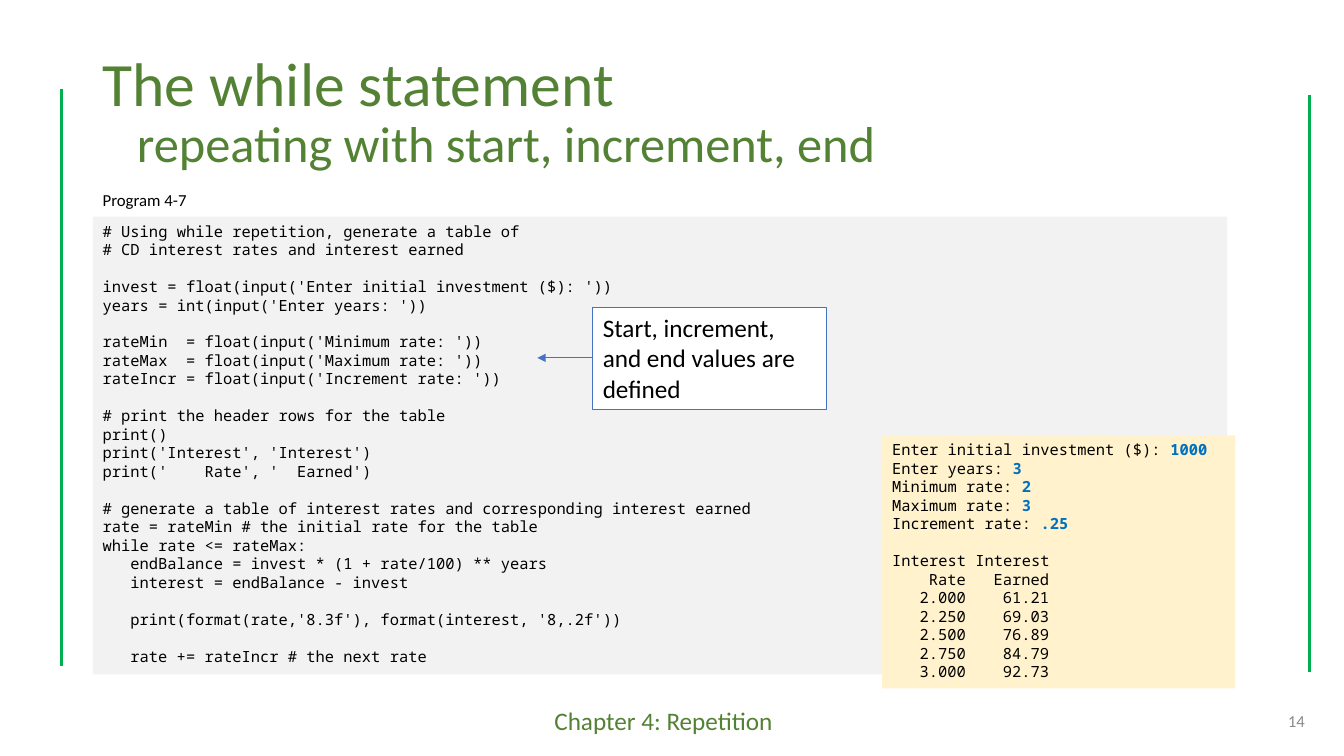
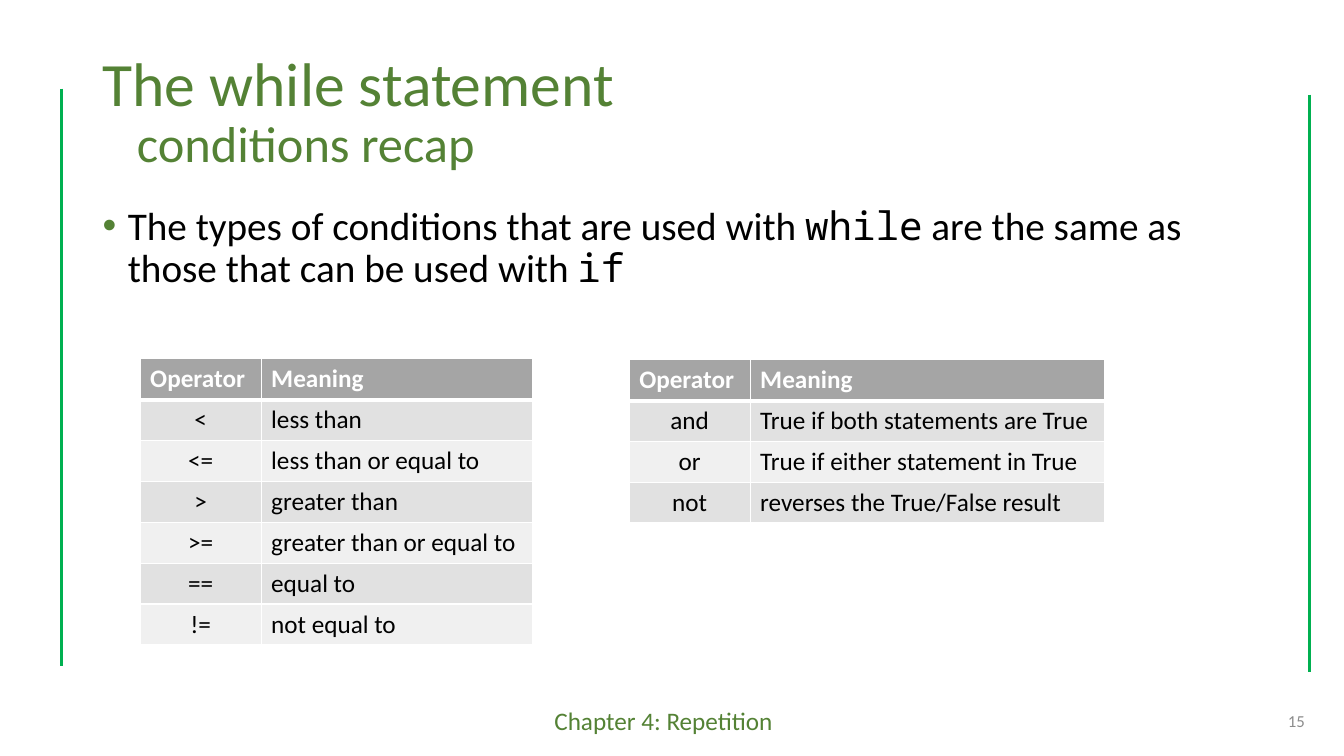
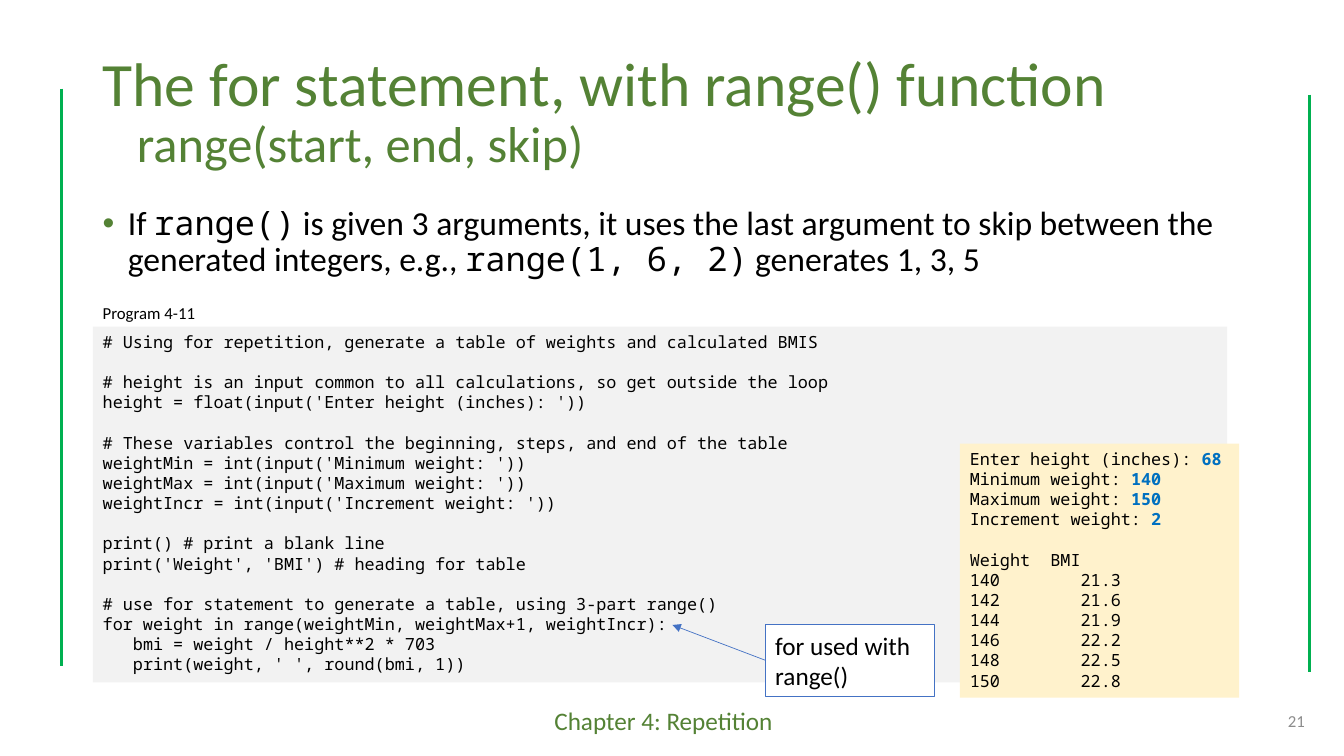
from lxml.etree import SubElement as Sub
from pptx import Presentation
from pptx.dml.color import RGBColor as Rgb
from pptx.enum.shapes import MSO_CONNECTOR as Conn, MSO_SHAPE as Form
from pptx.enum.text import MSO_ANCHOR as Anchor, PP_ALIGN as Align
from pptx.oxml.ns import qn
from pptx.util import Pt

PX = 9144  # 100 px to the inch
HUES = {
    "title": "548235", "rail": "00B050", "page": "8C8C8C", "text": "000000",
    "code": "F2F2F2", "shell": "FFF2CC", "entry": "0070C0", "white": "FFFFFF",
    "edge": "4472C4", "head": "A5A5A5", "odd": "E1E1E1", "even": "F0F0F0",
}
SANS, MONO = "Calibri", "Noto Sans Mono"
CHAR, LEAD = 0.6, 1.2  # monospace advance and line height, in ems


def box(slide, at, paras, fill=None, edge=None, anchor=Anchor.TOP):
    """Add text; a paragraph is (runs, format), a run is (text, hue, font)."""
    at = [n * PX for n in at]
    if fill:
        shape = slide.shapes.add_shape(Form.RECTANGLE, *at)
        shape.shadow.inherit = False
        shape.fill.solid()
        shape.fill.fore_color.rgb = Rgb.from_string(HUES[fill])
        if edge:
            shape.line.color.rgb = Rgb.from_string(HUES[edge])
            shape.line.width = Pt(0.75)
        else:
            shape.line.fill.background()
    else:
        shape = slide.shapes.add_textbox(*at)
    frame = shape.text_frame
    frame.word_wrap = True
    frame.vertical_anchor = anchor
    for i, (runs, form) in enumerate(paras):
        para = frame.add_paragraph() if i else frame.paragraphs[0]
        for key, val in ({"alignment": Align.LEFT} | form).items():
            setattr(para, key, val)
        for text, hue, font in runs:
            run = para.add_run()
            run.text = text
            run.font.color.rgb = Rgb.from_string(HUES[hue])
            for key, val in ({"name": SANS} | font).items():
                setattr(run.font, key, val)
    return frame


def rule(slide, ends, hue, width, arrow=False):
    line = slide.shapes.add_connector(Conn.STRAIGHT, *[n * PX for n in ends])
    line.line.color.rgb = Rgb.from_string(HUES[hue])
    line.line.width = Pt(width)
    if arrow:
        Sub(line.line._get_or_add_ln(), qn("a:tailEnd"), type="triangle")
    Sub(line._element.spPr, qn("a:effectLst"))


RATES = """
# Using while repetition, generate a table of
# CD interest rates and interest earned

invest = float(input('Enter initial investment ($): '))
years = int(input('Enter years: '))

rateMin  = float(input('Minimum rate: '))
rateMax  = float(input('Maximum rate: '))
rateIncr = float(input('Increment rate: '))

# print the header rows for the table
print()
print('Interest', 'Interest')
print('    Rate', '  Earned')

# generate a table of interest rates and corresponding interest earned
rate = rateMin # the initial rate for the table
while rate <= rateMax:
   endBalance = invest * (1 + rate/100) ** years
   interest = endBalance - invest

   print(format(rate,'8.3f'), format(interest, '8,.2f'))

   rate += rateIncr # the next rate
"""
# A bar parts a prompt from what is typed in.
RATES_OUT = """
Enter initial investment ($): |1000
Enter years: |3
Minimum rate: |2
Maximum rate: |3
Increment rate: |.25

Interest Interest
\tRate\tEarned
\t2.000\t61.21
\t2.250\t69.03
\t2.500\t76.89
\t2.750\t84.79
\t3.000\t92.73
"""
BMI = """
# Using for repetition, generate a table of weights and calculated BMIS

# height is an input common to all calculations, so get outside the loop
height = float(input('Enter height (inches): '))

# These variables control the beginning, steps, and end of the table
weightMin = int(input('Minimum weight: '))
weightMax = int(input('Maximum weight: '))
weightIncr = int(input('Increment weight: '))

print() # print a blank line
print('Weight', 'BMI') # heading for table

# use for statement to generate a table, using 3-part range()
for weight in range(weightMin, weightMax+1, weightIncr):
   bmi = weight / height**2 * 703
   print(weight, ' ', round(bmi, 1))
"""
BMI_OUT = """
Enter height (inches): |68
Minimum weight: |140
Maximum weight: |150
Increment weight: |2

Weight\tBMI
140\t\t21.3
142\t\t21.6
144\t\t21.9
146\t\t22.2
148\t\t22.5
150\t\t22.8
"""

# Tab stops are (alignment, columns); bullets alternate sans and mono.
PAGES = [
    {
        "page": "14",
        "title": ("The while statement", "repeating with start, increment, end"),
        "label": ("Program 4-7", 183),
        "size": 11,
        "mono": [((92, 215, 1125, 454), "code", RATES, None),
                 ((875, 432, 350, 251), "shell", RATES_OUT, ("r", (8, 17)))],
        "note": ((588, 305, 232, 101),
                 "Start, increment, and end values are defined"),
        "arrow": (588, 355, 533, 355),
    },
    {
        "page": "15",
        "title": ("The while statement", "conditions recap"),
        "bullet": (28, ("The types of conditions that are used with ", "while",
                        " are the same as those that can be used with ", "if")),
        "tables": [
            ((139, 356, 389, 284), (120, 269), [
                ("<", "less than"), ("<=", "less than or equal to"),
                (">", "greater than"), (">=", "greater than or equal to"),
                ("==", "equal to"), ("!=", "not equal to")]),
            ((624, 357, 472, 162), (120, 352), [
                ("and", "True if both statements are True"),
                ("or", "True if either statement in True"),
                ("not", "reverses the True/False result")]),
        ],
    },
    {
        "page": "21",
        "title": ("The for statement, with range() function",
                  "range(start, end, skip)"),
        "bullet": (24, ("If ", "range()",
                        " is given 3 arguments, it uses the last argument to skip"
                        " between the generated integers, e.g., ",
                        "range(1, 6, 2)", " generates 1, 3, 5")),
        "label": ("Program 4-11", 295),
        "size": 12,
        "mono": [((92, 324, 1125, 353), "code", BMI, None),
                 ((952, 440, 277, 252), "shell", BMI_OUT, ("l", (8, 11)))],
        "note": ((759, 620, 168, 71), "for used with range()"),
        "arrow": (759, 655, 667, 620),
    },
]

deck = Presentation()
deck.slide_width, deck.slide_height = 1333 * PX, 750 * PX

for page in PAGES:
    slide = deck.slides.add_slide(deck.slide_layouts[6])

    # Shared frame
    box(slide, (540, 695, 253, 40),
        [([("Chapter 4: Repetition", "title", {"size": Pt(18)})], {})])
    rule(slide, (61, 88, 61, 661), "rail", 2.25)
    rule(slide, (1299, 94, 1299, 667), "rail", 2.25)
    box(slide, (1004, 695, 300, 40),
        [([(page["page"], "page", {"size": Pt(12)})],
          {"alignment": Align.RIGHT})], anchor=Anchor.MIDDLE)
    frame = box(slide, (92, 40, 1150, 145),
                [([(text, "title", {"size": Pt(size)})], {"line_spacing": 0.9})
                 for text, size in zip(page["title"], (44, 36))],
                anchor=Anchor.MIDDLE)
    frame.paragraphs[1]._p.get_or_add_pPr().set("marL", str(34 * PX))

    if "bullet" in page:
        size, parts = page["bullet"]
        runs = [(text, "text", {"size": Pt(size), "name": (SANS, MONO)[i % 2]})
                for i, text in enumerate(parts)]
        frame = box(slide, (92, 200, 1150, 476),
                    [(runs, {"line_spacing": 0.9, "space_before": Pt(10)})])
        props = frame.paragraphs[0]._p.get_or_add_pPr()
        props.set("marL", str(25 * PX))
        props.set("indent", str(-25 * PX))
        Sub(Sub(props, qn("a:buClr")), qn("a:srgbClr"), val=HUES["title"])
        Sub(props, qn("a:buFont"), typeface="Arial")
        Sub(props, qn("a:buChar"), char="•")

    # Code and its output: blank lines become spacing, indents become margins
    for at, fill, text, tabs in page.get("mono", []):
        size = page["size"]
        char = Pt(size * CHAR)
        font = {"size": Pt(size), "name": MONO}
        paras, dents, gap = [], [], 0
        for row in text.strip("\n").split("\n"):
            if not row:
                gap = size * LEAD
                continue
            body = row.lstrip(" ")
            ask, _, reply = body.partition("|")
            runs = [(ask, "text", font)]
            if reply:
                runs.append((reply, "entry", font | {"bold": True}))
            paras.append((runs, {"space_before": Pt(gap)}))
            dents.append(len(row) - len(body))
            gap = 0
        frame = box(slide, at, paras, fill)
        for para, dent in zip(frame.paragraphs, dents):
            props = para._p.get_or_add_pPr()
            props.set("marL", str(dent * char))
            if tabs and "\t" in para.text:
                stops = Sub(props, qn("a:tabLst"))
                for col in tabs[1]:
                    Sub(stops, qn("a:tab"), pos=str(col * char), algn=tabs[0])

    if "label" in page:
        text, top = page["label"]
        box(slide, (92, top, 203, 30),
            [([(text, "text", {"size": Pt(12)})], {})])
        at, text = page["note"]
        box(slide, at, [([(text, "text", {"size": Pt(18)})], {})],
            "white", "edge")
        rule(slide, page["arrow"], "edge", 0.5, arrow=True)

    for at, cols, rows in page.get("tables", []):
        rows = [("Operator", "Meaning")] + rows
        grid = slide.shapes.add_table(len(rows), len(cols),
                                      *[n * PX for n in at]).table
        for col, width in zip(grid.columns, cols):
            col.width = width * PX
        for r, row in enumerate(rows):
            fill = ("odd" if r % 2 else "even") if r else "head"
            for c, text in enumerate(row):
                cell = grid.cell(r, c)
                props = cell._tc.get_or_add_tcPr()
                for side in "LRTB":
                    thick = (r, side) in ((0, "B"), (1, "T"))
                    edge = Sub(props, qn("a:ln" + side),
                               w=str(Pt(3 if thick else 1)))
                    Sub(Sub(edge, qn("a:solidFill")), qn("a:srgbClr"),
                        val=HUES["white"])
                cell.fill.solid()
                cell.fill.fore_color.rgb = Rgb.from_string(HUES[fill])
                para = cell.text_frame.paragraphs[0]
                para.alignment = Align.CENTER if r and not c else Align.LEFT
                run = para.add_run()
                run.text = text
                run.font.color.rgb = Rgb.from_string(
                    HUES["text" if r else "white"])
                form = {"name": SANS, "size": Pt(18), "bold": r == 0}
                for key, val in form.items():
                    setattr(run.font, key, val)

deck.save("out.pptx")
